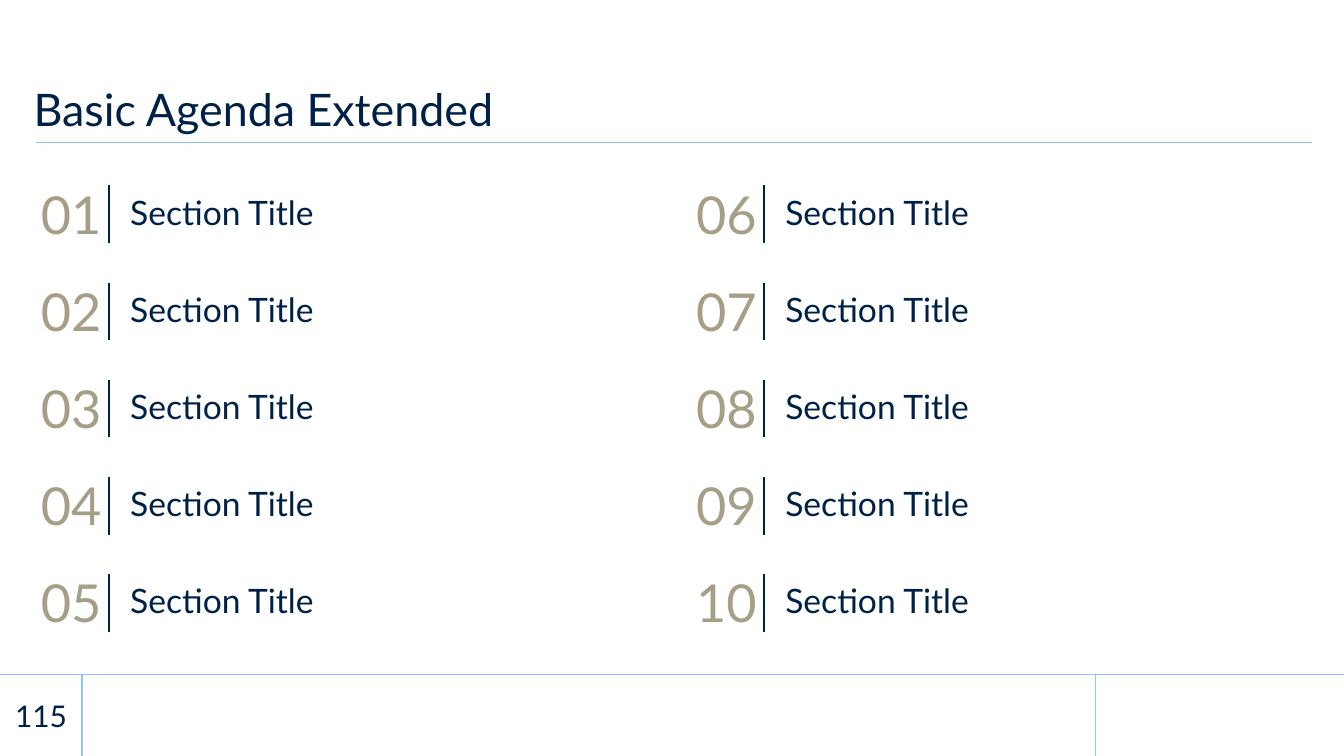
import pptx
import pptx.dml.color
import pptx.enum.shapes
import pptx.enum.text
import pptx.oxml
import pptx.oxml.ns
import pptx.util
from pptx.util import Inches

COLORS = {"navy": "002147", "sky": "91C4FF", "sand": "A69F88", "white": "FFFFFF"}
ALIGN = pptx.enum.text.PP_ALIGN
ANCHOR = pptx.enum.text.MSO_ANCHOR


def rgb(name):
    return pptx.dml.color.RGBColor.from_string(COLORS[name])


class Deck:
    """Holds the style and the current slide."""

    font = "Lato"

    def __init__(self, width, height):
        self.prs = pptx.Presentation()
        self.prs.slide_width = Inches(width)
        self.prs.slide_height = Inches(height)
        self.slide = self.prs.slides.add_slide(self.prs.slide_layouts[6])
        self.shapes = self.slide.shapes

    def group(self):
        return self.slide.shapes.add_group_shape().shapes

    def panel(self, x, y, w, h, color, opacity=100):
        sp = self.shapes.add_shape(pptx.enum.shapes.MSO_SHAPE.RECTANGLE,
                                   Inches(x), Inches(y), Inches(w), Inches(h))
        sp.shadow.inherit = False
        sp.line.fill.background()
        sp.fill.solid()
        sp.fill.fore_color.rgb = rgb(color)
        if opacity < 100:
            clr = sp._element.spPr.find(".//" + pptx.oxml.ns.qn("a:srgbClr"))
            clr.append(pptx.oxml.parse_xml(
                f'<a:alpha {pptx.oxml.ns.nsdecls("a")} val="{opacity * 1000}"/>'))

    def line(self, x1, y1, x2, y2, color, width, shapes=None):
        cx = (shapes or self.shapes).add_connector(
            pptx.enum.shapes.MSO_CONNECTOR.STRAIGHT,
            Inches(x1), Inches(y1), Inches(x2), Inches(y2))
        cx.line.color.rgb = rgb(color)
        cx.line.width = pptx.util.Pt(width)
        cx._element.spPr.append(pptx.oxml.parse_xml(
            f'<a:effectLst {pptx.oxml.ns.nsdecls("a")}/>'))

    def text(self, x, y, w, h, words, size, color="navy", align=ALIGN.LEFT,
             anchor=ANCHOR.MIDDLE, insets=(0, 0, 0, 0),
             wrap=True, spacing=1.0, shapes=None):
        sp = (shapes or self.shapes).add_textbox(
            Inches(x), Inches(y), Inches(w), Inches(h))
        tf = sp.text_frame
        tf.word_wrap = wrap
        tf.vertical_anchor = anchor
        tf.margin_left, tf.margin_top, tf.margin_right, tf.margin_bottom = map(Inches, insets)
        p = tf.paragraphs[0]
        p.alignment = align
        p.line_spacing = spacing
        r = p.add_run()
        r.text = words
        r.font.name = self.font
        r.font.size = pptx.util.Pt(size)
        r.font.color.rgb = rgb(color)

    def agenda_item(self, x, y, number, title):
        shapes = self.group()
        size = 0.56
        self.text(x, y, size, size, f"{number:02d}", 28, "sand", ALIGN.CENTER,
                  wrap=False, shapes=shapes)
        self.text(x + 0.62, y, 4.01, size, title, 18,
                  insets=(0.1, 0.05, 0.1, 0.02), spacing=0.8, shapes=shapes)
        self.line(x + size, y + 0.07, x + size, y + 0.5, "navy", 1, shapes)


def main():
    # Widescreen 16:9
    width = 10
    height = width * 9 / 16
    deck = Deck(width, height)

    # Footer band with its dividers
    footer_top = 5.02
    footer_height = height - footer_top
    number_edge, right_edge = 0.61, 8.15
    deck.panel(0, footer_top, width, footer_height, "white", opacity=85)
    deck.panel(right_edge, footer_top, width - right_edge, footer_height, "white")
    deck.line(width, footer_top, 0, footer_top, "sky", 0.75)
    for x in (right_edge, number_edge):
        deck.line(x, height, x, footer_top, "sky", 0.75)

    # Title rule, page number and title
    deck.line(9.76, 1.06, 0.27, 1.06, "sky", 0.75)
    deck.text(0, footer_top, number_edge, footer_height, "115", 16,
              align=ALIGN.CENTER, wrap=False)
    deck.text(0.25, 0.26, 9.5, 0.8, "Basic Agenda Extended", 24,
              anchor=ANCHOR.BOTTOM, insets=(0, 0, 0, 0.05), spacing=0.9)

    # Agenda: two columns, filled downwards
    rows, top, bottom = 5, 1.31, 4.2
    row_step = (bottom - top) / (rows - 1)
    left, column_step = 0.25, 9.75 / 2
    for i in range(2 * rows):
        column, row = divmod(i, rows)
        deck.agenda_item(left + column * column_step, top + row * row_step,
                         i + 1, "Section Title")

    deck.prs.save("out.pptx")


if __name__ == "__main__":
    main()
